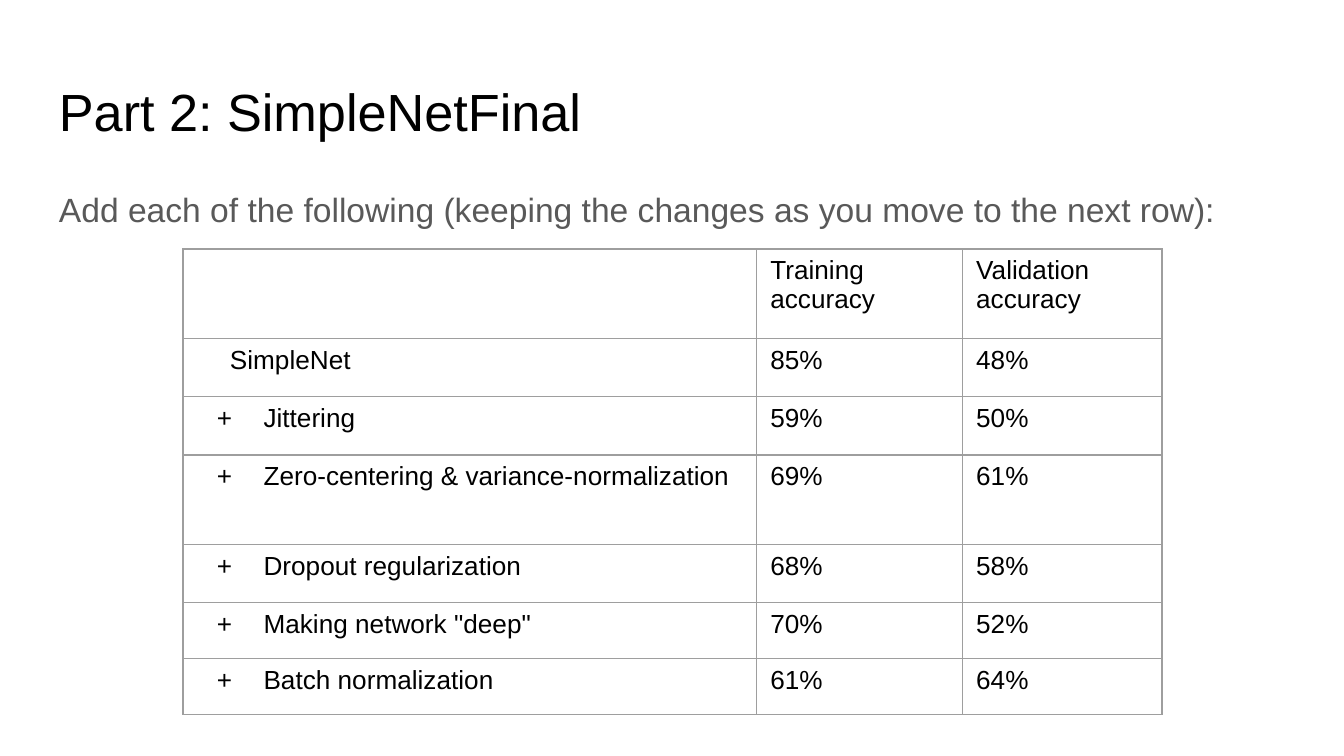
from lxml.etree import SubElement
from pptx import Presentation
from pptx.dml.color import RGBColor
from pptx.oxml.ns import qn
from pptx.util import Pt

COLORS = {"ink": "000000", "body": "595959", "rule": "9E9E9E"}
FONT = "Arial"

TITLE = "Part 2: SimpleNetFinal"
LEAD = "Add each of the following (keeping the changes as you move to the next row):"
HEAD = ("", "Training accuracy", "Validation accuracy")
BASE = ("SimpleNet", "85%", "48%")
STEPS = [
    ("Jittering", "59%", "50%"),
    ("Zero-centering & variance-normalization", "69%", "61%"),
    ("Dropout regularization", "68%", "58%"),
    ('Making network "deep"', "70%", "52%"),
    ("Batch normalization", "61%", "64%"),
]
ROWS = [HEAD, BASE, *STEPS]
WIDTHS = (307.5, 110.3, 106.8)
HEIGHTS = (48, 31.2, 31.2, 48, 31.2, 30, 30)


def style(para, size, color):
    for run in para.runs:
        run.font.name = FONT
        run.font.size = Pt(size)
        run.font.color.rgb = RGBColor.from_string(COLORS[color])


def add_text(slide, text, top, height, size, color):
    box = slide.shapes.add_textbox(Pt(24.5), Pt(top), Pt(671), Pt(height))
    frame = box.text_frame
    frame.word_wrap = True
    frame.margin_left = frame.margin_right = Pt(7.2)
    frame.margin_top = frame.margin_bottom = Pt(7.2)
    frame.text = text
    para = frame.paragraphs[0]
    style(para, size, color)
    return para


def indent(para, left, first=0):
    props = para._p.get_or_add_pPr()
    props.set("marL", str(Pt(left)))
    props.set("indent", str(Pt(first)))
    return props


def add_plus(para):
    """Give the paragraph a hanging plus sign as its bullet."""
    props = indent(para, 36, -25)
    tint = SubElement(props, qn("a:buClr"))
    SubElement(tint, qn("a:srgbClr"), val=COLORS["ink"])
    SubElement(props, qn("a:buFont"), typeface=FONT)
    SubElement(props, qn("a:buChar"), char="+")


def add_rules(cell):
    """Draw a thin line on all four sides of the cell."""
    props = cell._tc.get_or_add_tcPr()
    for side in "LRTB":
        line = SubElement(props, qn(f"a:ln{side}"), w=str(Pt(0.75)))
        fill = SubElement(line, qn("a:solidFill"))
        SubElement(fill, qn("a:srgbClr"), val=COLORS["rule"])


def add_grid(slide):
    frame = slide.shapes.add_table(
        len(ROWS), len(HEAD), Pt(98), Pt(133.4), Pt(sum(WIDTHS)), Pt(sum(HEIGHTS)))
    table = frame.table
    table.first_row = table.horz_banding = False
    for col, width in zip(table.columns, WIDTHS):
        col.width = Pt(width)
    for r, (row, height) in enumerate(zip(ROWS, HEIGHTS)):
        table.rows[r].height = Pt(height)
        for c, text in enumerate(row):
            cell = table.cell(r, c)
            add_rules(cell)
            cell.fill.background()
            cell.margin_left = cell.margin_right = Pt(7.2)
            cell.margin_top = cell.margin_bottom = Pt(3.6)
            cell.text_frame.text = text
            para = cell.text_frame.paragraphs[0]
            style(para, 14, "ink")
            if c == 0 and row is BASE:
                indent(para, 18)
            elif c == 0 and row in STEPS:
                add_plus(para)


def main():
    deck = Presentation()
    deck.slide_width, deck.slide_height = Pt(720), Pt(405)
    slide = deck.slides.add_slide(deck.slide_layouts[6])
    add_text(slide, TITLE, 35, 45, 28, "ink")
    lead = add_text(slide, LEAD, 90.7, 269, 18, "body")
    lead.line_spacing = 1.15
    add_grid(slide)
    deck.save("out.pptx")


if __name__ == "__main__":
    main()
